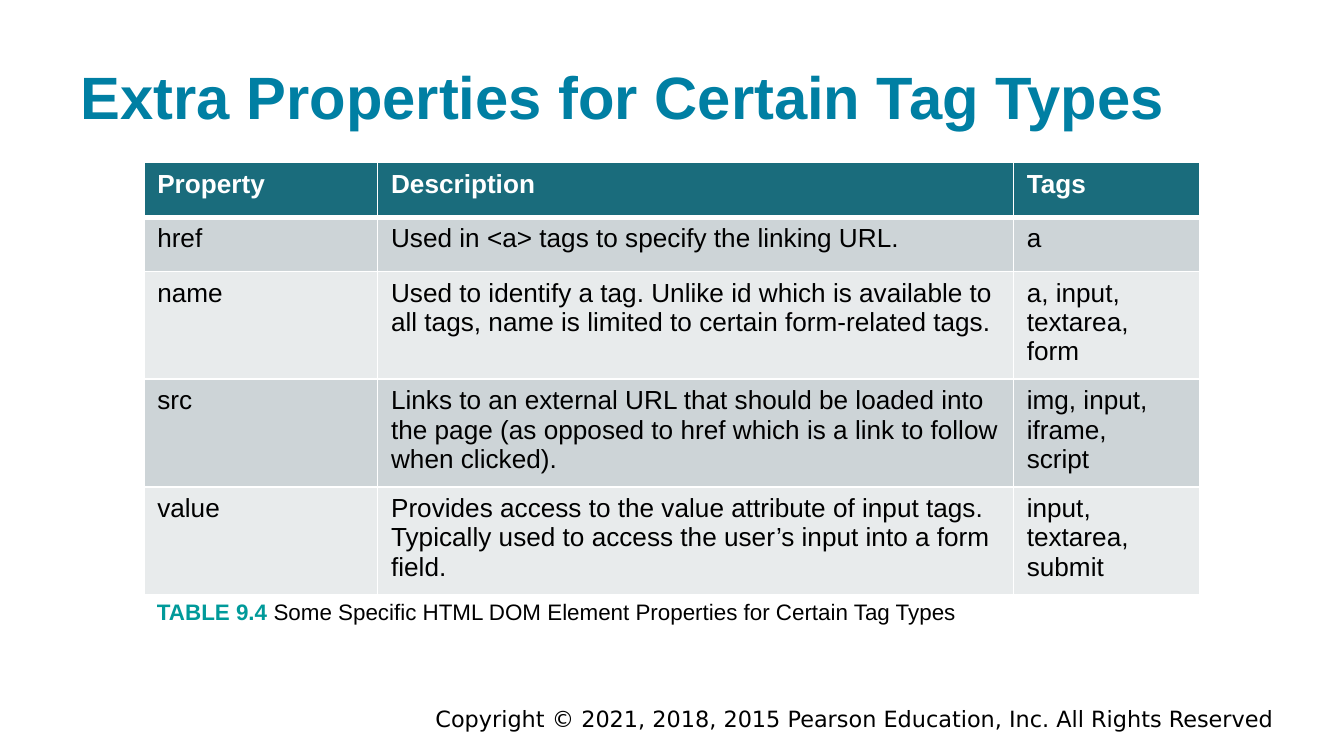
from pptx import Presentation
from pptx.dml.color import RGBColor
from pptx.enum.text import MSO_ANCHOR, PP_ALIGN
from pptx.oxml.ns import qn
from pptx.util import Inches, Pt
from lxml.etree import SubElement

BLACK = RGBColor(0x00, 0x00, 0x00)
WHITE = RGBColor(0xFF, 0xFF, 0xFF)
TITLE_BLUE = RGBColor(0x00, 0x7F, 0xA3)
CAPTION_TEAL = RGBColor(0x00, 0x9A, 0x9A)
HEADER_TEAL = RGBColor(0x1A, 0x6C, 0x7C)
BANDS = [RGBColor(0xCD, 0xD4, 0xD7), RGBColor(0xE8, 0xEB, 0xEC)]

TABLE_LEFT, TABLE_WIDTH = 1.07, 7.86
COLUMN_WIDTHS = [1.74, 4.73, 1.39]
ROW_POINTS = [29.2, 29.2, 57.5, 57.5, 57.5]
PROPERTIES = [
    ("Property", "Description", "Tags"),
    ("href", "Used in <a> tags to specify the linking URL.", "a"),
    ("name", "Used to identify a tag. Unlike id which is available to all tags, "
             "name is limited to certain form-related tags.",
     "a, input, textarea,\nform"),
    ("src", "Links to an external URL that should be loaded into the page "
            "(as opposed to href which is a link to follow when clicked).",
     "img, input, iframe,\nscript"),
    ("value", "Provides access to the value attribute of input tags. "
              "Typically used to access the user’s input into a form field.",
     "input, textarea,\nsubmit"),
]


def add_run(paragraph, text, size, color, bold=False, font="Arial"):
    run = paragraph.add_run()
    run.text = text
    run.font.name = font
    run.font.size = Pt(size)
    run.font.bold = bold
    run.font.color.rgb = color


def set_borders(cell, top_width, bottom_width):
    """Draw white lines round a cell; they must precede its fill in the XML."""
    properties = cell._tc.get_or_add_tcPr()
    for side, width in (("lnL", 1), ("lnR", 1), ("lnT", top_width), ("lnB", bottom_width)):
        line = SubElement(properties, qn(f"a:{side}"), w=str(Pt(width)))
        fill = SubElement(line, qn("a:solidFill"))
        SubElement(fill, qn("a:srgbClr"), val=str(WHITE))


def place_title(slide, left, top, width, height):
    title = slide.shapes.title
    title.left, title.top = Inches(left), Inches(top)
    title.width, title.height = Inches(width), Inches(height)
    frame = title.text_frame
    frame.margin_top = frame.margin_bottom = Inches(0.1)
    frame.vertical_anchor = MSO_ANCHOR.BOTTOM
    paragraph = frame.paragraphs[0]
    paragraph.alignment = PP_ALIGN.LEFT
    add_run(paragraph, "Extra Properties for Certain Tag Types", 32, TITLE_BLUE, True)


def add_property_table(slide, left, top, width):
    table = slide.shapes.add_table(
        len(PROPERTIES), len(COLUMN_WIDTHS), Inches(left), Inches(top),
        Inches(width), Pt(sum(ROW_POINTS))).table
    for column, column_width in zip(table.columns, COLUMN_WIDTHS):
        column.width = Inches(column_width)
    for r, (row, height, texts) in enumerate(zip(table.rows, ROW_POINTS, PROPERTIES)):
        row.height = Pt(height)
        header = r == 0
        for cell, text in zip(row.cells, texts):
            set_borders(cell, 3 if r == 1 else 1, 3 if header else 1)
            cell.fill.solid()
            cell.fill.fore_color.rgb = HEADER_TEAL if header else BANDS[(r - 1) % 2]
            frame = cell.text_frame
            for i, line in enumerate(text.split("\n")):
                paragraph = frame.add_paragraph() if i else frame.paragraphs[0]
                add_run(paragraph, line, 14, WHITE if header else BLACK, header)


def add_text_box(slide, left, top, width, height):
    box = slide.shapes.add_textbox(Inches(left), Inches(top), Inches(width), Inches(height))
    box.text_frame.word_wrap = True
    return box.text_frame


def add_caption(slide, left, top, width, height):
    paragraph = add_text_box(slide, left, top, width, height).paragraphs[0]
    add_run(paragraph, "TABLE 9.4 ", 12, CAPTION_TEAL, True)
    add_run(paragraph, "Some Specific HTML DOM Element Properties for Certain Tag Types",
            12, BLACK)


def add_copyright(slide, left, top, width, height):
    frame = add_text_box(slide, left, top, width, height)
    frame.vertical_anchor = MSO_ANCHOR.MIDDLE
    paragraph = frame.paragraphs[0]
    paragraph.alignment = PP_ALIGN.RIGHT
    add_run(paragraph, "Copyright © 2021, 2018, 2015 Pearson Education, Inc. All Rights Reserved",
            12, BLACK, font="DejaVu Sans")


def main():
    presentation = Presentation()
    presentation.slide_width = Inches(10)
    presentation.slide_height = presentation.slide_width * 9 // 16
    slide = presentation.slides.add_slide(presentation.slide_layouts[5])
    add_copyright(slide, 1.75, 5.27, 7.83, 0.16)
    place_title(slide, 0.5, 0.18, 9, 0.9)
    add_caption(slide, TABLE_LEFT, 4.4, TABLE_WIDTH, 0.3)
    add_property_table(slide, TABLE_LEFT, 1.21, TABLE_WIDTH)
    presentation.save("out.pptx")


if __name__ == "__main__":
    main()
